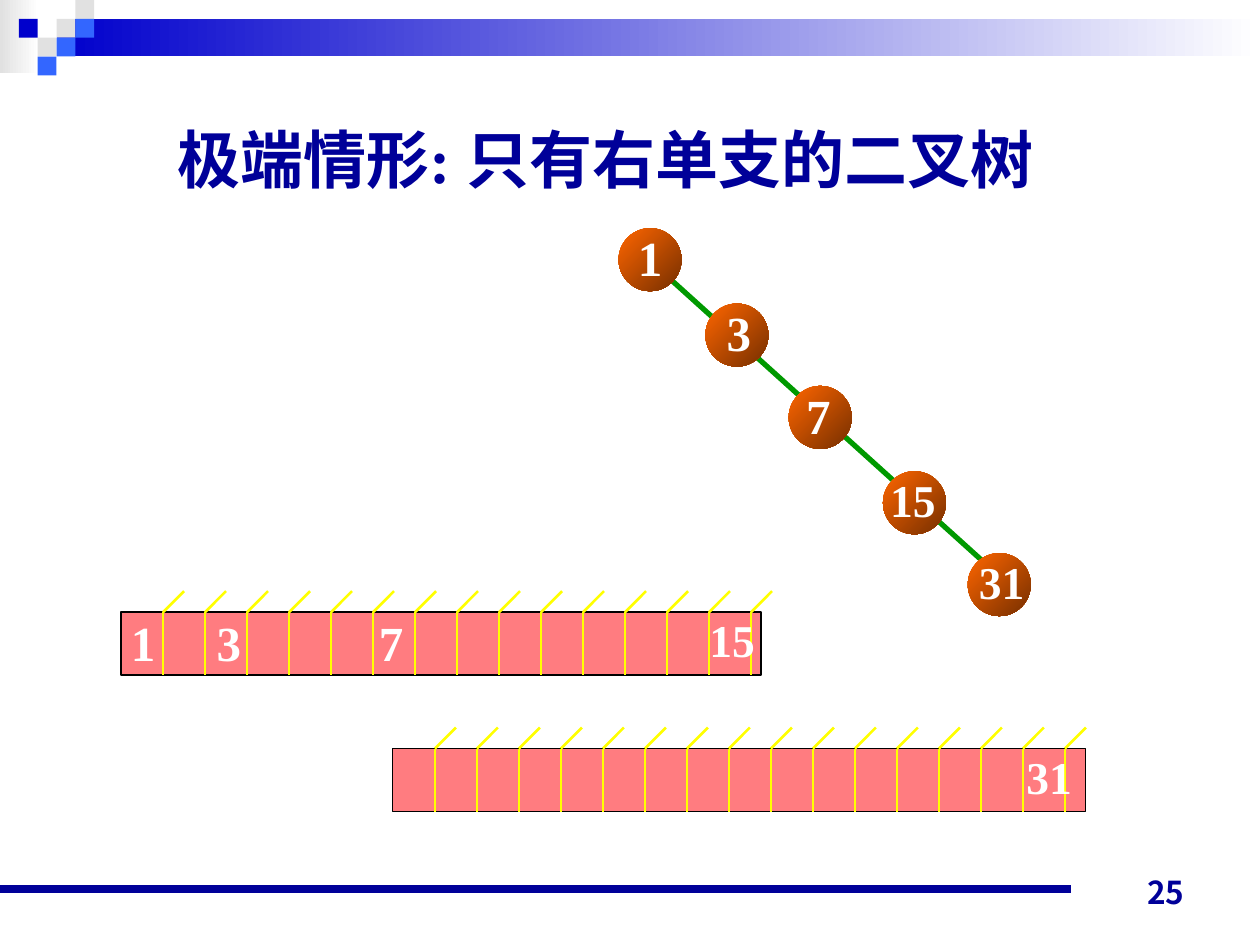
from pptx import Presentation
from pptx import util as u
from pptx.dml import color
from pptx.enum import shapes, text
from pptx.oxml import ns
from lxml import etree

SERIF = "Times New Roman"
SANS = "Noto Sans CJK JP"
NAVY, BLUE, SKY, GREY, WHITE = "000099", "0000CC", "3366FF", "E1E1E1", "FFFFFF"
STEP = 2.54 / 3


def rgb(code):
    """Turn a hex string into a colour."""
    return color.RGBColor.from_string(code)


def draw(slide, kind, box, fill, end=None, angle=0, line=None):
    """Add a preset shape with a plain or two-colour fill."""
    shape = slide.shapes.add_shape(kind, *map(u.Cm, box))
    shape.shadow.inherit = False
    if end:
        shape.fill.gradient()
        shape.fill.gradient_angle = angle
        for stop, code in zip(shape.fill.gradient_stops, (fill, end)):
            stop.color.rgb = rgb(code)
    else:
        shape.fill.solid()
        shape.fill.fore_color.rgb = rgb(fill)
    if line:
        shape.line.color.rgb = rgb(line)
        shape.line.width = u.Pt(0.75)
    else:
        shape.line.fill.background()


def rule(slide, start, end, code, width):
    """Add a straight line without a shadow."""
    ends = map(u.Cm, (*start, *end))
    line = slide.shapes.add_connector(shapes.MSO_CONNECTOR.STRAIGHT, *ends)
    line.line.color.rgb = rgb(code)
    line.line.width = u.Pt(width)
    etree.SubElement(line._element.spPr, ns.qn("a:effectLst"))


def label(slide, box, words, size, code=WHITE, align="CENTER",
          anchor="MIDDLE", wrap=False, font=SERIF):
    """Add a bold one-line text box."""
    frame = slide.shapes.add_textbox(*map(u.Cm, box)).text_frame
    frame.word_wrap = wrap
    if not wrap:
        frame.auto_size = text.MSO_AUTO_SIZE.SHAPE_TO_FIT_TEXT
    frame.vertical_anchor = getattr(text.MSO_ANCHOR, anchor)
    frame.text = words
    para = frame.paragraphs[0]
    para.alignment = getattr(text.PP_ALIGN, align)
    face = para.runs[0].font
    face.name, face.size, face.bold = font, u.Pt(size), True
    face.color.rgb = rgb(code)


def measure(words):
    """Give the width, height and text size of a number."""
    return (0.99, 1.45, 28) if len(words) == 1 else (1.42, 1.37, 26)


def banner(slide, x, y, wide):
    """Draw the gradient band and its checkered corner."""
    rect = shapes.MSO_SHAPE.RECTANGLE
    side = 0.38
    draw(slide, rect, (x, y, 0.79, 1.47), GREY, WHITE)
    draw(slide, rect, (x + 3 * side, y + side, wide - 3 * side, 2 * side), BLUE, WHITE)
    tiles = [(3, 1, GREY), (4, 0, GREY), (4, 1, SKY), (2, 2, GREY),
             (1, 1, BLUE), (3, 2, SKY), (2, 3, SKY)]
    for col, row, code in tiles:
        draw(slide, rect, (x + col * side, y + row * side, side, side), code)


def footer(slide, x, y):
    """Draw the bottom rule and the page number."""
    rule(slide, (x, y), (x + 21.59, y), NAVY, 4.5)
    label(slide, (x + 18.21, y - 0.71, 5.92, 1.27), "25", 18, NAVY,
          "RIGHT", "BOTTOM", True, SANS)


def tree(slide, x, y):
    """Draw the chain of right children."""
    side = 1.27
    nodes = [("1", 0, 0, 0), ("3", 1.75, 1.52, 0.04), ("7", 3.43, 3.18, -0.04),
             ("15", 5.33, 4.9, -0.03), ("31", 7.04, 6.55, 0.05)]
    rule(slide, (x + 0.89, y + 0.89), (x + 7.67, y + 7.01), "009900", 3)
    for words, left, top, shift in nodes:
        draw(slide, shapes.MSO_SHAPE.OVAL, (x + left, y + top, side, side),
             "FF6600", "762F00", 315)
        wide, high, size = measure(words)
        box = (x + left + (side - wide) / 2 + shift,
               y + top + (side - high) / 2 - 0.06, wide, high)
        label(slide, box, words, size)


def array(slide, x, y, wide, count, items):
    """Draw a row of cells with slanted ticks and its numbers."""
    high, tick = 1.27, STEP / 2
    draw(slide, shapes.MSO_SHAPE.RECTANGLE, (x, y, wide, high), "FF7C80", line="000000")
    for i in range(1, count + 1):
        left = x + i * STEP
        rule(slide, (left, y), (left, y + high), "FFFF00", 1.5)
        rule(slide, (left, y), (left + tick, y - tick), "FFFF00", 1.5)
    for words, left in items:
        across, tall, size = measure(words)
        label(slide, (x + left, y - 0.13, across, tall), words, size, align="LEFT")


def main():
    """Build and save the slide."""
    deck = Presentation()
    deck.slide_width, deck.slide_height = u.Cm(25.4), u.Cm(19.05)
    slide = deck.slides.add_slide(deck.slide_layouts[6])
    banner(slide, 0, 0, 25.4)
    footer(slide, 0, 17.93)
    tree(slide, 12.47, 4.6)
    label(slide, (3.02, 2.31, 18.36, 1.78), "极端情形: 只有右单支的二叉树", 36, NAVY)
    array(slide, 2.44, 12.34, 12.9, 15,
          [("1", -0.05), ("3", 1.68), ("7", 4.95), ("15", 11.61)])
    array(slide, 7.92, 15.09, 13.97, 16, [("31", 12.52)])
    deck.save("out.pptx")


if __name__ == "__main__":
    main()
